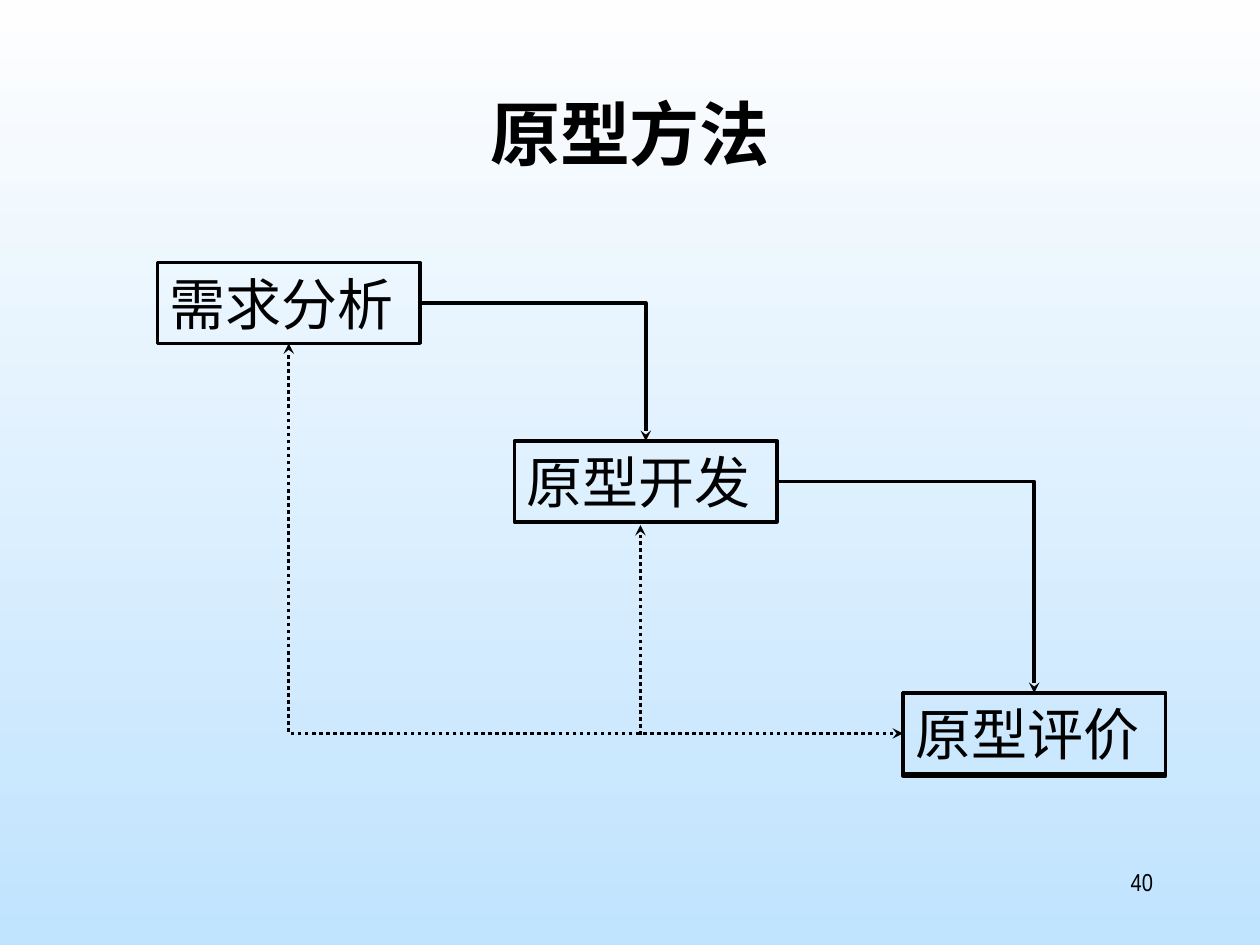
from pptx import Presentation
from pptx.dml.color import RGBColor
from pptx.enum.dml import MSO_LINE
from pptx.enum.shapes import MSO_CONNECTOR, MSO_SHAPE
from pptx.enum.text import MSO_ANCHOR, PP_ALIGN
from pptx.oxml.ns import qn
from pptx.util import Inches, Pt
from lxml.etree import SubElement

THEME = {
    "ink": RGBColor(0, 0, 0),
    "sky": (RGBColor(0xFE, 0xFE, 0xFE), RGBColor(0xC0, 0xE3, 0xFE)),
    "cjk": "Noto Sans CJK SC",
    "line": Pt(2),
    "title": {"size": Pt(40), "bold": True, "name": "Noto Sans CJK SC"},
    "step": {"size": Pt(32), "name": "Arial Narrow"},
    "number": {"size": Pt(14), "name": "Arial Narrow"},
}

prs = Presentation()
prs.slide_width, prs.slide_height = Inches(10), Inches(7.5)
COL = prs.slide_width / 120
ROW = prs.slide_height / 90
s = prs.slides.add_slide(prs.slide_layouts[6])

fill = s.background.fill
fill.gradient()
fill.gradient_angle = 270
for stop, color, pos in zip(fill.gradient_stops, THEME["sky"], (0, 1)):
    stop.color.rgb, stop.position = color, pos


def write(sp, text, style, align, anchor):
    tf = sp.text_frame
    tf.word_wrap, tf.vertical_anchor = True, anchor
    p = tf.paragraphs[0]
    p.alignment = align
    r = p.add_run()
    r.text = text
    r.font.color.rgb = THEME["ink"]
    for key, value in THEME[style].items():
        setattr(r.font, key, value)
    latin = r.font._element.find(qn("a:latin"))
    ea = latin.makeelement(qn("a:ea"), {"typeface": THEME["cjk"]})
    latin.addnext(ea)


def finish(cx, dash, ends):
    cx.line.color.rgb, cx.line.width = THEME["ink"], THEME["line"]
    if dash:
        cx.line.dash_style = dash
    ln = cx.line._get_or_add_ln()
    for end in ends:
        SubElement(ln, qn(f"a:{end}"), type="stealth")
    SubElement(cx._element.spPr, qn("a:effectLst"))


for text, style, align, x, y, w, h in (
    ("原型方法", "title", PP_ALIGN.CENTER, 9, 8, 102, 15),
    ("40", "number", PP_ALIGN.RIGHT, 86, 82, 25, 6),
):
    sp = s.shapes.add_textbox(int(x * COL), int(y * ROW), int(w * COL), int(h * ROW))
    write(sp, text, style, align, MSO_ANCHOR.TOP)

steps = []
for text, x, y, h in (
    ("需求分析", 15, 25, 7.7),
    ("原型开发", 49, 42, 7.7),
    ("原型评价", 86, 66, 7.7),
    ("", 86, 66, 7.9),
):
    sp = s.shapes.add_shape(
        MSO_SHAPE.RECTANGLE, int(x * COL), int(y * ROW), int(25 * COL), int(h * ROW)
    )
    sp.shadow.inherit = False
    sp.fill.background()
    sp.line.color.rgb, sp.line.width = THEME["ink"], THEME["line"]
    if text:
        write(sp, text, "step", PP_ALIGN.LEFT, MSO_ANCHOR.MIDDLE)
        steps.append(sp)

DOT = MSO_LINE.ROUND_DOT
for a, a_site, b, b_site, dash, ends in (
    (0, 3, 1, 0, None, ["tailEnd"]),
    (1, 3, 2, 0, None, ["tailEnd"]),
    (2, 1, 0, 2, DOT, ["headEnd", "tailEnd"]),
):
    cx = s.shapes.add_connector(MSO_CONNECTOR.ELBOW, 0, 0, 0, 0)
    cx.begin_connect(steps[a], a_site)
    cx.end_connect(steps[b], b_site)
    cx._element.spPr.find(qn("a:prstGeom")).set("prst", "bentConnector2")
    finish(cx, dash, ends)

cx = s.shapes.add_connector(
    MSO_CONNECTOR.STRAIGHT, int(61 * COL), int(70 * ROW), int(61 * COL), int(50 * ROW)
)
finish(cx, DOT, ["tailEnd"])

prs.save("out.pptx")
